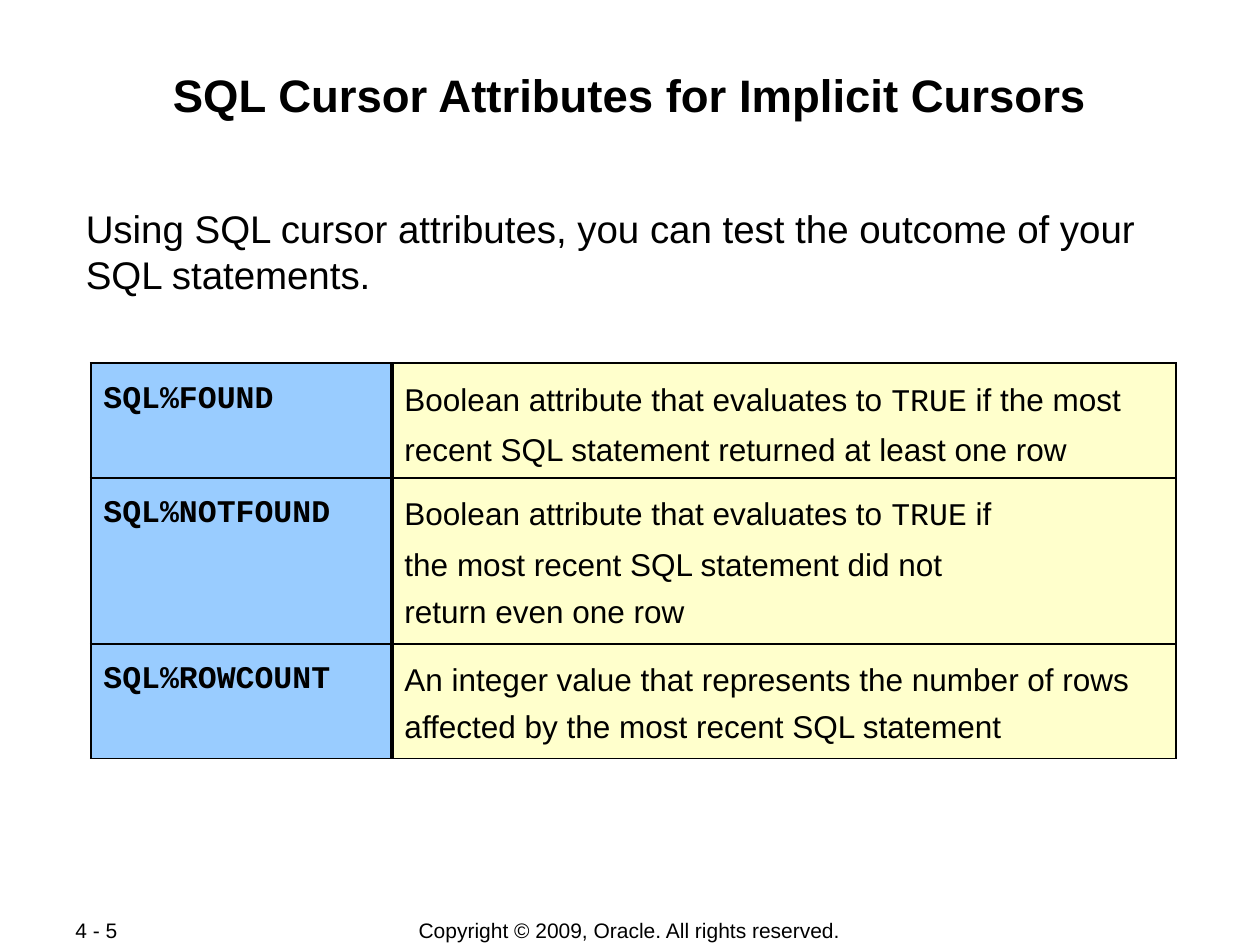
from dataclasses import dataclass

from lxml.etree import SubElement
from pptx import Presentation
from pptx.dml.color import RGBColor
from pptx.enum.text import MSO_ANCHOR as Anchor, PP_ALIGN as Align
from pptx.oxml.ns import qn
from pptx.util import Cm, Pt


@dataclass(frozen=True)
class Theme:
    ink: str = "000000"
    name_fill: str = "99CCFF"
    meaning_fill: str = "FFFFCC"
    sans: str = "Arial"
    mono: str = "Courier New"
    title: float = 26
    body: float = 22
    cell: float = 18
    footer: float = 12
    cell_spacing: float = 1.35
    thin: float = 1.08
    thick: float = 2.21


@dataclass(frozen=True)
class TextSpec:
    text: str
    left: float
    top: float
    width: float
    height: float
    size: float
    bold: bool = False
    align: Align = Align.LEFT
    anchor: Anchor = Anchor.TOP
    side_inset: float = 0.03
    top_inset: float = 0.13


@dataclass(frozen=True)
class Attribute:
    name: str
    meaning: str
    height: float


THEME = Theme()
KEYWORD = "TRUE"

TEXTS = [
    TextSpec("Copyright © 2009, Oracle. All rights reserved.", 6.99, 18.49, 11.4, 0.53,
             THEME.footer, align=Align.CENTER, anchor=Anchor.MIDDLE, side_inset=0.25, top_inset=0),
    TextSpec("4 - 5", 1.27, 18.49, 2.69, 0.53,
             THEME.footer, anchor=Anchor.MIDDLE, side_inset=0.25, top_inset=0),
    TextSpec("SQL Cursor Attributes for Implicit Cursors", 1.7, 1.22, 22, 2.44,
             THEME.title, bold=True, align=Align.CENTER),
    TextSpec("Using SQL cursor attributes, you can test the outcome of your SQL statements.",
             1.7, 4.01, 22, 4.85, THEME.body),
]

ATTRIBUTES = [
    Attribute("SQL%FOUND", "Boolean attribute that evaluates to TRUE if the most recent "
              "SQL statement returned at least one row", 2.31),
    Attribute("SQL%NOTFOUND", "Boolean attribute that evaluates to TRUE if \n"
              "the most recent SQL statement did not\nreturn even one row", 3.35),
    Attribute("SQL%ROWCOUNT", "An integer value that represents the number of rows "
              "affected by the most recent SQL statement", 2.31),
]


def style_font(font, size: float, bold: bool = False, name: str = THEME.sans) -> None:
    font.name = name
    font.size = Pt(size)
    font.bold = bold
    font.color.rgb = RGBColor.from_string(THEME.ink)


def add_text(page, spec: TextSpec) -> None:
    box = page.shapes.add_textbox(Cm(spec.left), Cm(spec.top), Cm(spec.width), Cm(spec.height))
    frame = box.text_frame
    frame.word_wrap = True
    frame.vertical_anchor = spec.anchor
    frame.margin_left = frame.margin_right = Cm(spec.side_inset)
    frame.margin_top = Cm(spec.top_inset)
    frame.margin_bottom = Cm(0)
    para = frame.paragraphs[0]
    para.alignment = spec.align
    para.add_run().text = spec.text
    style_font(para.font, spec.size, spec.bold)


def add_meaning(para, meaning: str) -> None:
    for line_index, line in enumerate(meaning.split("\n")):
        if line_index:
            para.add_line_break()
        before, keyword, after = line.partition(KEYWORD)
        for text in filter(None, (before, keyword, after)):
            span = para.add_run()
            span.text = text
            span.font.name = THEME.mono if text == KEYWORD else THEME.sans


def style_cell(cell, fill: str, left: float, right: float) -> None:
    cell.fill.solid()
    cell.fill.fore_color.rgb = RGBColor.from_string(fill)
    properties = cell._tc.get_or_add_tcPr()
    sides = {"L": left, "R": right, "T": THEME.thin, "B": THEME.thin}
    for index, (side, width) in enumerate(sides.items()):
        line = SubElement(properties, qn(f"a:ln{side}"), w=str(Pt(width)))
        solid = SubElement(line, qn("a:solidFill"))
        SubElement(solid, qn("a:srgbClr"), val=THEME.ink)
        properties.insert(index, line)


def add_attribute_table(page, attributes: list[Attribute]) -> None:
    widths = (6.07, 15.8)
    height = sum(attribute.height for attribute in attributes)
    table = page.shapes.add_table(len(attributes), len(widths), Cm(1.83), Cm(7.32),
                                  Cm(sum(widths)), Cm(height)).table
    table.first_row = table.horz_banding = False
    for column, width in zip(table.columns, widths):
        column.width = Cm(width)
    for row, attribute in zip(table.rows, attributes):
        row.height = Cm(attribute.height)
        name_cell, meaning_cell = row.cells
        style_cell(name_cell, THEME.name_fill, THEME.thin, THEME.thick)
        style_cell(meaning_cell, THEME.meaning_fill, THEME.thick, THEME.thin)

        name_para = name_cell.text_frame.paragraphs[0]
        name_para.line_spacing = THEME.cell_spacing
        name_para.add_run().text = attribute.name
        style_font(name_para.font, THEME.cell, True, THEME.mono)

        meaning_para = meaning_cell.text_frame.paragraphs[0]
        meaning_para.line_spacing = THEME.cell_spacing
        add_meaning(meaning_para, attribute.meaning)
        style_font(meaning_para.font, THEME.cell)


def main() -> None:
    deck = Presentation()
    deck.slide_width, deck.slide_height = Cm(25.4), Cm(19.05)
    page = deck.slides.add_slide(deck.slide_layouts[6])
    for spec in TEXTS:
        add_text(page, spec)
    add_attribute_table(page, ATTRIBUTES)
    deck.save("out.pptx")


if __name__ == "__main__":
    main()
